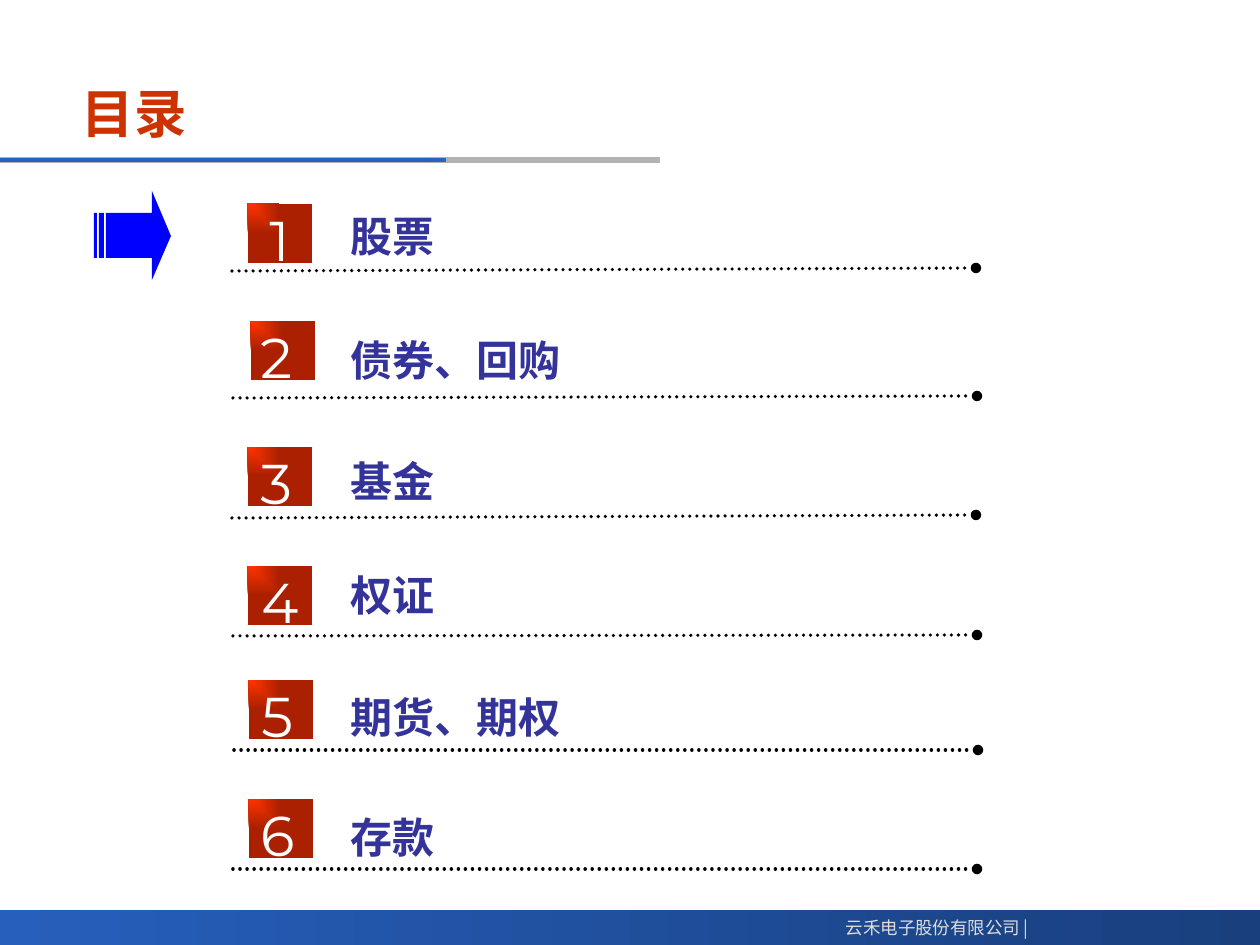
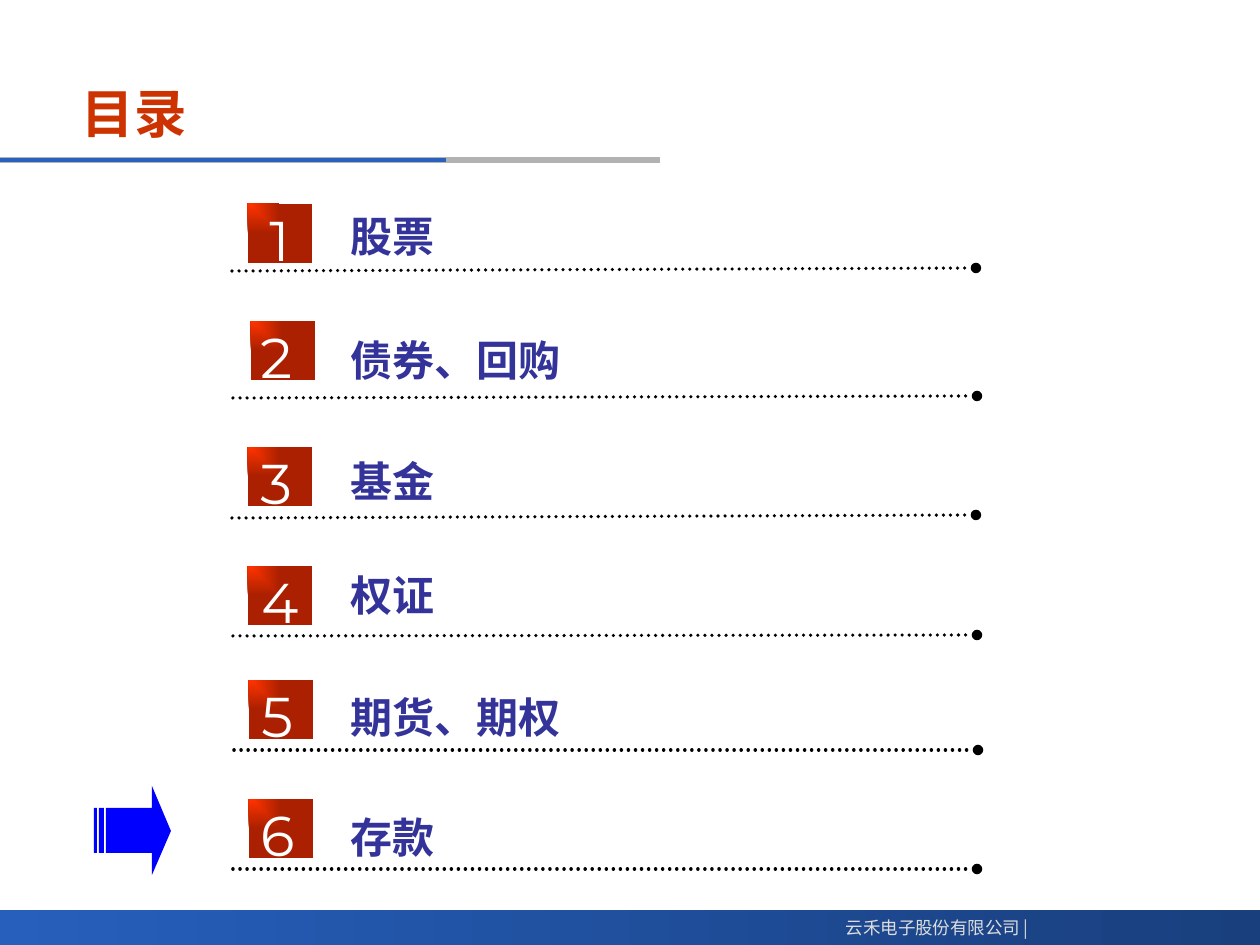
from lxml.etree import SubElement
from pptx import Presentation
from pptx.dml.color import RGBColor
from pptx.enum.dml import MSO_LINE
from pptx.enum.shapes import MSO_CONNECTOR, MSO_SHAPE
from pptx.enum.text import MSO_ANCHOR, MSO_AUTO_SIZE, PP_ALIGN
from pptx.oxml.ns import qn
from pptx.util import Emu, Pt

# Content: one slide per marked topic
TITLE = "目录"
COMPANY = "云禾电子股份有限公司 |"
MARKED_TOPICS = [0, 5]
CJK = "Noto Sans CJK SC"

# text, font, badge (x, y), digit x, label y, rule (x, start y, end y)
TOPICS = [
    ("股票", CJK, (248, 204), 248, 204, (232, 271, 268)),
    ("债券、回购", CJK, (251, 321), 248, 328, (233, 398, 396)),
    ("基金", "Arial", (248, 447), 248, 449, (232, 518, 515)),
    ("权证", "Arial", (248, 566), 249, 563, (233, 636, 635)),
    ("期货、期权", "Arial", (249, 680), 249, 685, (234, 750, 750)),
    ("存款", "Arial", (249, 799), 248, 805, (233, 869, 869)),
]

# Outlines of the marker arrow: head, then its two tail stripes
ARROW = [
    [(152, 0), (152, 22), (106, 22), (106, 67), (152, 67), (152, 89), (171, 45)],
    [(99, 22), (99, 67), (104, 67), (104, 22)],
    [(94, 22), (94, 67), (97, 67), (97, 22)],
]

COLORS = {
    "title": "CC3300", "label": "333399", "digit": "FFFFFF", "footer": "DDDDDD",
    "bar_from": "265FBC", "bar_to": "193F7D", "badge_from": "FF3300",
    "badge_to": "AA2000", "band_grey": "B2B2B2", "band_blue": "2A60C0",
    "rule": "000000", "arrow": "0000FF",
}

SCALE = 914400 / 126
RULE_LENGTH = 744


def px(*values):
    return [Emu(round(v * SCALE)) for v in values]


def rgb(name):
    return RGBColor.from_string(COLORS[name])


# Drawing helpers
def write(tf, text, size, color, font, bold=False, align=PP_ALIGN.LEFT):
    p = tf.paragraphs[0]
    r = p.add_run()
    r.text = text
    p.alignment = align
    p.font.size = Pt(size)
    p.font.bold = bold
    p.font.color.rgb = rgb(color)
    p.font.name = font
    ea = SubElement(p.font._element, qn("a:ea"))
    ea.set("typeface", CJK)


def add_text(shapes, box, *args, wrap=False, **kwargs):
    tf = shapes.add_textbox(*px(*box)).text_frame
    tf.word_wrap = wrap
    tf.auto_size = MSO_AUTO_SIZE.SHAPE_TO_FIT_TEXT
    write(tf, *args, **kwargs)


def add_gradient_box(shapes, box, name, from_corner=False):
    sp = shapes.add_shape(MSO_SHAPE.RECTANGLE, *px(*box))
    sp.shadow.inherit = False
    sp.line.fill.background()
    sp.fill.gradient()
    sp.fill.gradient_angle = 0
    for stop, end, position in zip(sp.fill.gradient_stops, ("from", "to"), (0, 1)):
        stop.color.rgb = rgb(f"{name}_{end}")
        stop.position = position
    if from_corner:
        grad = sp._element.spPr.find(qn("a:gradFill"))
        grad.remove(grad.find(qn("a:lin")))
        shade = SubElement(grad, qn("a:path"))
        shade.set("path", "rect")
        focus = SubElement(shade, qn("a:fillToRect"))
        for side in "rb":
            focus.set(side, "100000")


def add_line(shapes, ends, color, width, dotted=False):
    line = shapes.add_connector(MSO_CONNECTOR.STRAIGHT, *px(*ends))
    line.line.color.rgb = rgb(color)
    line.line.width = Pt(width)
    if dotted:
        line.line.dash_style = MSO_LINE.ROUND_DOT
        ln = line.line._get_or_add_ln()
        ln.set("cap", "rnd")
        SubElement(ln, qn("a:tailEnd")).set("type", "oval")
    SubElement(line._element.spPr, qn("a:effectLst"))


# Slide parts
def add_frame(slide):
    shapes = slide.shapes
    add_gradient_box(shapes, (0, 910, 1260, 35), "bar")
    add_line(shapes, (0, 160, 660, 160), "band_grey", 3)
    add_line(shapes, (0, 160, 446, 160), "band_blue", 2.25)
    add_text(shapes, (820, 911, 221, 34), COMPANY, 10, "footer", CJK,
             align=PP_ALIGN.RIGHT)
    title = shapes.title
    title.left, title.top, title.width, title.height = px(69, 71, 872, 84)
    title.text_frame.vertical_anchor = MSO_ANCHOR.MIDDLE
    write(title.text_frame, TITLE, 30, "title", "Arial", bold=True)


def add_topic(shapes, number, topic):
    text, font, (badge_x, badge_y), digit_x, label_y, (x, start_y, end_y) = topic
    badge = shapes.add_group_shape().shapes
    add_gradient_box(badge, (badge_x, badge_y, 64, 59), "badge", from_corner=True)
    add_text(badge, (digit_x, badge_y - 5, 63, 80), str(number), 32, "digit",
             "Montserrat", align=PP_ALIGN.CENTER if number == 1 else PP_ALIGN.LEFT)
    add_text(shapes, (338, label_y, 338, 63), text, 24, "label", font,
             bold=True, wrap=True)
    add_line(shapes, (x, start_y, x + RULE_LENGTH, end_y), "rule", 2, dotted=True)


def add_arrow(shapes, top):
    outlines = [[(x, top + y) for x, y in points] for points in ARROW]
    builder = shapes.build_freeform(*outlines[0][0], scale=SCALE)
    for i, (start, *rest) in enumerate(outlines):
        if i:
            builder.move_to(*start)
        builder.add_line_segments(rest, close=True)
    sp = builder.convert_to_shape()
    sp.shadow.inherit = False
    sp.fill.solid()
    sp.fill.fore_color.rgb = rgb("arrow")
    sp.line.fill.background()


def main():
    prs = Presentation()
    prs.slide_width, prs.slide_height = px(1260, 945)
    for marked in MARKED_TOPICS:
        slide = prs.slides.add_slide(prs.slide_layouts[5])
        add_frame(slide)
        for number, topic in enumerate(TOPICS, 1):
            add_topic(slide.shapes, number, topic)
        add_arrow(slide.shapes, TOPICS[marked][2][1] - 13)
    prs.save("out.pptx")


if __name__ == "__main__":
    main()
